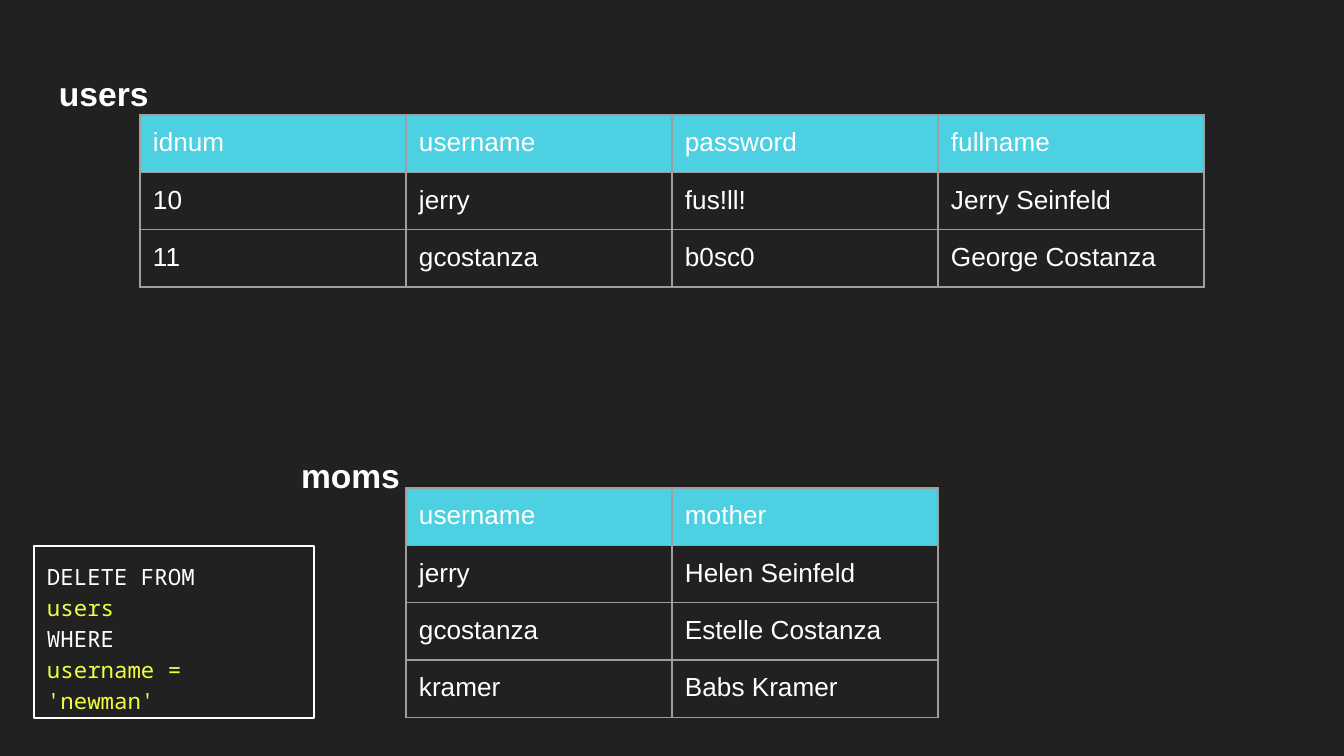
from lxml.etree import SubElement
from pptx import Presentation
from pptx.dml.color import RGBColor
from pptx.enum.shapes import MSO_SHAPE
from pptx.enum.text import MSO_ANCHOR, PP_ALIGN
from pptx.oxml import parse_xml
from pptx.oxml.ns import nsdecls, qn
from pptx.util import Emu, Pt

SCALE = 9144000 / 1344
COLORS = {
    "background": "212121",
    "text": "FFFFFF",
    "header": "4DD0E1",
    "border": "9E9E9E",
    "value": "EEFF41",
}
INSET = 13
COLUMN_WIDTH = 266
ROW_HEIGHT = 56
USERS = [
    ["idnum", "username", "password", "fullname"],
    ["10", "jerry", "fus!ll!", "Jerry Seinfeld"],
    ["11", "gcostanza", "b0sc0", "George Costanza"],
]
MOMS = [
    ["username", "mother"],
    ["jerry", "Helen Seinfeld"],
    ["gcostanza", "Estelle Costanza"],
    ["kramer", "Babs Kramer"],
]
QUERY = [
    ("DELETE FROM", "text"),
    ("users", "value"),
    ("WHERE", "text"),
    ("username = 'newman'", "value"),
]


def px(length):
    return Emu(round(length * SCALE))


def rgb(name):
    return RGBColor.from_string(COLORS[name])


def apply(target, formats):
    for name, value in formats.items():
        setattr(target, name, value)


def set_insets(target):
    apply(target, {f"margin_{side}": px(INSET) for side in ("left", "top", "right", "bottom")})


def write(paragraph, text, color="text", **formats):
    run = paragraph.add_run()
    run.text = text
    apply(run.font, formats)
    run.font.color.rgb = rgb(color)


def prepare_frame(frame):
    set_insets(frame)
    apply(frame, {"word_wrap": True, "vertical_anchor": MSO_ANCHOR.TOP})


def add_lines(frame, lines, **formats):
    for index, (text, color) in enumerate(lines):
        paragraph = frame.add_paragraph() if index else frame.paragraphs[0]
        apply(paragraph, {"line_spacing": 1.15, "alignment": PP_ALIGN.LEFT})
        write(paragraph, text, color, **formats)


def add_table_names(slide):
    names = slide.shapes.add_textbox(px(46), px(54), px(1252), px(558)).text_frame
    prepare_frame(names)
    add_lines(names, [("users", "text"), ("moms", "text")], name="Arial", size=Pt(18), bold=True)
    moms = names.paragraphs[1]
    moms.space_before = Pt(180)
    moms._p.get_or_add_pPr().set("marL", str(px(242)))


def add_borders(cell):
    properties = cell._tc.get_or_add_tcPr()
    for index, side in enumerate(("lnL", "lnR", "lnT", "lnB")):
        border = parse_xml(f'<a:{side} {nsdecls("a")} w="{Pt(0.75)}"/>')
        fill = SubElement(border, qn("a:solidFill"))
        SubElement(fill, qn("a:srgbClr"), val=COLORS["border"])
        properties.insert(index, border)


def add_data_table(slide, left, top, rows):
    width, height = COLUMN_WIDTH * len(rows[0]), ROW_HEIGHT * len(rows)
    table = slide.shapes.add_table(
        len(rows), len(rows[0]), px(left), px(top), px(width), px(height)
    ).table
    apply(table, {"first_row": False, "horz_banding": False})
    for row, texts in enumerate(rows):
        for column, text in enumerate(texts):
            cell = table.cell(row, column)
            set_insets(cell)
            if row == 0:
                cell.fill.solid()
                cell.fill.fore_color.rgb = rgb("header")
            else:
                cell.fill.background()
            add_borders(cell)
            write(cell.text_frame.paragraphs[0], text, name="Arial", size=Pt(14))


def add_query(slide):
    query = slide.shapes.add_shape(MSO_SHAPE.RECTANGLE, px(34), px(546), px(280), px(172))
    query.shadow.inherit = False
    query.fill.background()
    query.line.color.rgb = rgb("text")
    query.line.width = Pt(0.75)
    prepare_frame(query.text_frame)
    add_lines(query.text_frame, QUERY, name="Noto Sans Mono", size=Pt(12))


def main():
    presentation = Presentation()
    apply(presentation, {"slide_width": px(1344), "slide_height": px(756)})
    slide = presentation.slides.add_slide(presentation.slide_layouts[6])
    slide.background.fill.solid()
    slide.background.fill.fore_color.rgb = rgb("background")
    add_table_names(slide)
    add_data_table(slide, 140, 115, USERS)
    add_data_table(slide, 406, 488, MOMS)
    add_query(slide)
    presentation.save("out.pptx")


if __name__ == "__main__":
    main()
